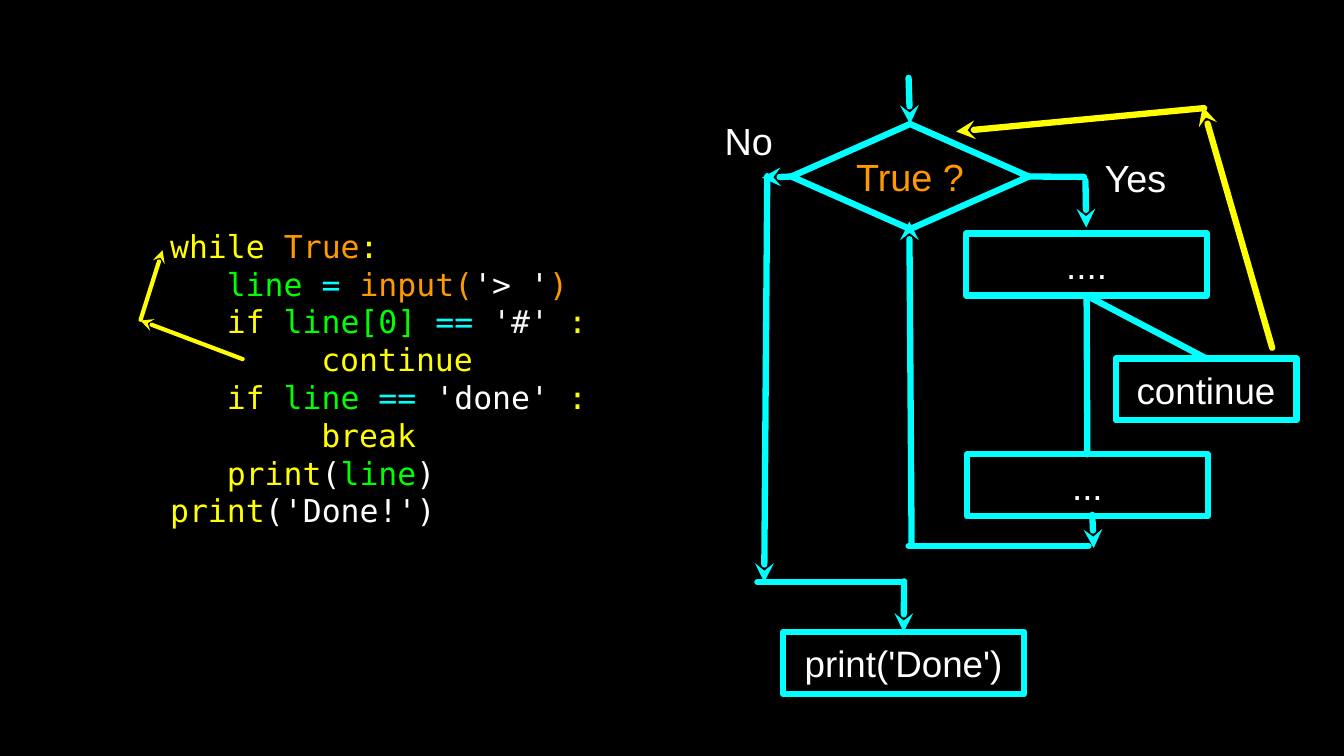
from dataclasses import dataclass
from typing import Optional

import pptx
import pptx.dml.color
import pptx.enum.shapes
import pptx.enum.text
import pptx.oxml
import pptx.oxml.ns
import pptx.util
from pptx.util import Inches

RGBColor = pptx.dml.color.RGBColor
BLACK = RGBColor(0x00, 0x00, 0x00)
WHITE = RGBColor(0xFF, 0xFF, 0xFF)
PALE = RGBColor(0xF3, 0xF3, 0xF3)
CYAN = RGBColor(0x00, 0xFF, 0xFF)
YELLOW = RGBColor(0xFF, 0xFF, 0x00)
ORANGE = RGBColor(0xFF, 0x99, 0x00)
GREEN = RGBColor(0x00, 0xFF, 0x00)

LABEL_FONT = "Arial"
CODE_FONT = "DejaVu Sans Mono"
CODE_SIZE = 30
CHARACTER_WIDTH = 0.25
TOP, LEFT, BOTTOM, RIGHT = range(4)
SHAPES = pptx.enum.shapes.MSO_SHAPE
Point = tuple[float, float]
Joint = tuple[str, int]


@dataclass
class Node:
    key: str
    text: str
    left: float
    top: float
    width: float = 3.19
    height: float = 0.82
    shape: int = SHAPES.RECTANGLE
    size: float = 35
    color: RGBColor = WHITE


@dataclass
class Flow:
    start: Point
    end: Point
    arrow: bool = False
    color: RGBColor = CYAN
    width: float = 6
    start_joint: Optional[Joint] = None
    end_joint: Optional[Joint] = None


@dataclass
class CodeLine:
    indent: int
    spans: list[tuple[str, RGBColor]]


NODES = [
    Node("test", "True ?", 10.47, 1.64, 3.14, 1.39, SHAPES.DIAMOND, 36, ORANGE),
    Node("done", "print('Done')", 10.36, 8.36),
    Node("body end", "...", 12.79, 6.01),
    Node("body start", "....", 12.78, 3.09),
    Node("continue", "continue", 14.76, 4.74, width=2.39),
]

FLOWS = [
    # Into the test and round the loop
    Flow((12.02, 1.03), (12.04, 1.64), True, end_joint=("test", TOP)),
    Flow((13.6, 2.33), (14.34, 2.34), start_joint=("test", RIGHT)),
    Flow((14.36, 2.39), (14.37, 3.01), True),
    Flow((14.38, 3.91), (14.4, 6.01),
         start_joint=("body start", BOTTOM), end_joint=("body end", TOP)),
    Flow((14.45, 6.81), (14.47, 7.25), True),
    Flow((14.4, 7.22), (12.02, 7.22)),
    Flow((12.06, 7.22), (12.03, 2.93), True),
    # Out of the loop
    Flow((10.52, 2.34), (10.08, 2.35), True, start_joint=("test", LEFT)),
    Flow((10.15, 2.33), (10.11, 7.7), True),
    Flow((10.02, 7.7), (11.94, 7.7)),
    Flow((11.96, 7.69), (11.94, 8.39), True, end_joint=("done", TOP)),
    # Continue jumps back to the test
    Flow((14.38, 3.91), (15.97, 4.72),
         start_joint=("body start", BOTTOM), end_joint=("continue", TOP)),
    Flow((16.83, 4.6), (15.91, 1.41), True, YELLOW),
    Flow((15.93, 1.43), (12.65, 1.74), True, YELLOW),
    # The same jump beside the code
    Flow((3.21, 4.75), (1.86, 4.24), True, YELLOW, 4),
    Flow((1.86, 4.23), (2.15, 3.31), True, YELLOW, 4),
]

CODE = [
    CodeLine(0, [("while ", YELLOW), ("True", ORANGE), (":", YELLOW)]),
    CodeLine(3, [("line ", GREEN), ("= ", CYAN), ("input(", ORANGE),
                 ("'> '", WHITE), (")", ORANGE)]),
    CodeLine(3, [("if", YELLOW), (" line[0] ", GREEN), ("== ", CYAN),
                 ("'#' ", PALE), (":", YELLOW)]),
    CodeLine(8, [("continue", YELLOW)]),
    CodeLine(3, [("if ", YELLOW), ("line ", GREEN), ("==", CYAN),
                 (" 'done' ", WHITE), (":", YELLOW)]),
    CodeLine(8, [("break", YELLOW)]),
    CodeLine(3, [("print", YELLOW), ("(", WHITE), ("line", GREEN), (")", WHITE)]),
    CodeLine(0, [("print", YELLOW), ("('Done!')", WHITE)]),
]


def add_span(para, text: str, font: str, size: float, color: RGBColor) -> None:
    span = para.add_run()
    span.text = text
    span.font.name = font
    span.font.size = pptx.util.Pt(size)
    span.font.color.rgb = color


def prepare_frame(frame, wrap: bool) -> None:
    """Remove the insets and centre the text vertically."""
    frame.margin_left = frame.margin_right = 0
    frame.margin_top = frame.margin_bottom = 0
    frame.vertical_anchor = pptx.enum.text.MSO_ANCHOR.MIDDLE
    frame.word_wrap = wrap


def write_label(frame, text: str, size: float, color: RGBColor) -> None:
    prepare_frame(frame, wrap=False)
    para = frame.paragraphs[0]
    para.alignment = pptx.enum.text.PP_ALIGN.CENTER
    add_span(para, text, LABEL_FONT, size, color)


def style_line(shape, color: RGBColor, width: float, arrow: bool = False) -> None:
    """Give a line its colour, round ends and, if asked, an arrowhead."""
    shape.line.color.rgb = color
    shape.line.width = pptx.util.Pt(width)
    outline = shape._element.spPr.find(pptx.oxml.ns.qn("a:ln"))
    outline.set("cap", "rnd")
    namespace = pptx.oxml.ns.nsdecls("a")
    outline.append(pptx.oxml.parse_xml(f"<a:round {namespace}/>"))
    if arrow:
        outline.append(pptx.oxml.parse_xml(f'<a:tailEnd {namespace} type="stealth"/>'))


def add_node(page, node: Node):
    shape = page.shapes.add_shape(
        node.shape, Inches(node.left), Inches(node.top),
        Inches(node.width), Inches(node.height))
    shape.shadow.inherit = False
    shape.fill.background()
    style_line(shape, CYAN, 6)
    write_label(shape.text_frame, node.text, node.size, node.color)
    return shape


def add_flow(page, flow: Flow, nodes: dict) -> None:
    connector = page.shapes.add_connector(
        pptx.enum.shapes.MSO_CONNECTOR.STRAIGHT,
        *(Inches(length) for length in flow.start + flow.end))
    if flow.start_joint:
        key, side = flow.start_joint
        connector.begin_connect(nodes[key], side)
    if flow.end_joint:
        key, side = flow.end_joint
        connector.end_connect(nodes[key], side)
    style_line(connector, flow.color, flow.width, flow.arrow)
    connector._element.spPr.append(
        pptx.oxml.parse_xml(f"<a:effectLst {pptx.oxml.ns.nsdecls('a')}/>"))


def add_branch_label(page, text: str, left: float, top: float, width: float) -> None:
    box = page.shapes.add_textbox(Inches(left), Inches(top), Inches(width), Inches(0.57))
    write_label(box.text_frame, text, 36, WHITE)


def add_code(page, lines: list[CodeLine]) -> None:
    box = page.shapes.add_textbox(Inches(2.25), Inches(3), Inches(6.88), Inches(4))
    frame = box.text_frame
    prepare_frame(frame, wrap=True)
    for number, line in enumerate(lines):
        para = frame.add_paragraph() if number else frame.paragraphs[0]
        para.line_spacing = pptx.util.Pt(36)
        indent = Inches(line.indent * CHARACTER_WIDTH)
        para._p.get_or_add_pPr().set("marL", str(indent))
        for text, color in line.spans:
            add_span(para, text, CODE_FONT, CODE_SIZE, color)


def main() -> None:
    deck = pptx.Presentation()
    deck.slide_width, deck.slide_height = Inches(17.78), Inches(10)
    page = deck.slides.add_slide(deck.slide_layouts[6])
    page.background.fill.solid()
    page.background.fill.fore_color.rgb = BLACK

    nodes = {node.key: add_node(page, node) for node in NODES}
    for flow in FLOWS:
        add_flow(page, flow, nodes)
    add_branch_label(page, "No", 9.51, 1.57, 0.79)
    add_branch_label(page, "Yes", 14.54, 2.06, 0.96)
    add_code(page, CODE)
    deck.save("out.pptx")


if __name__ == "__main__":
    main()
